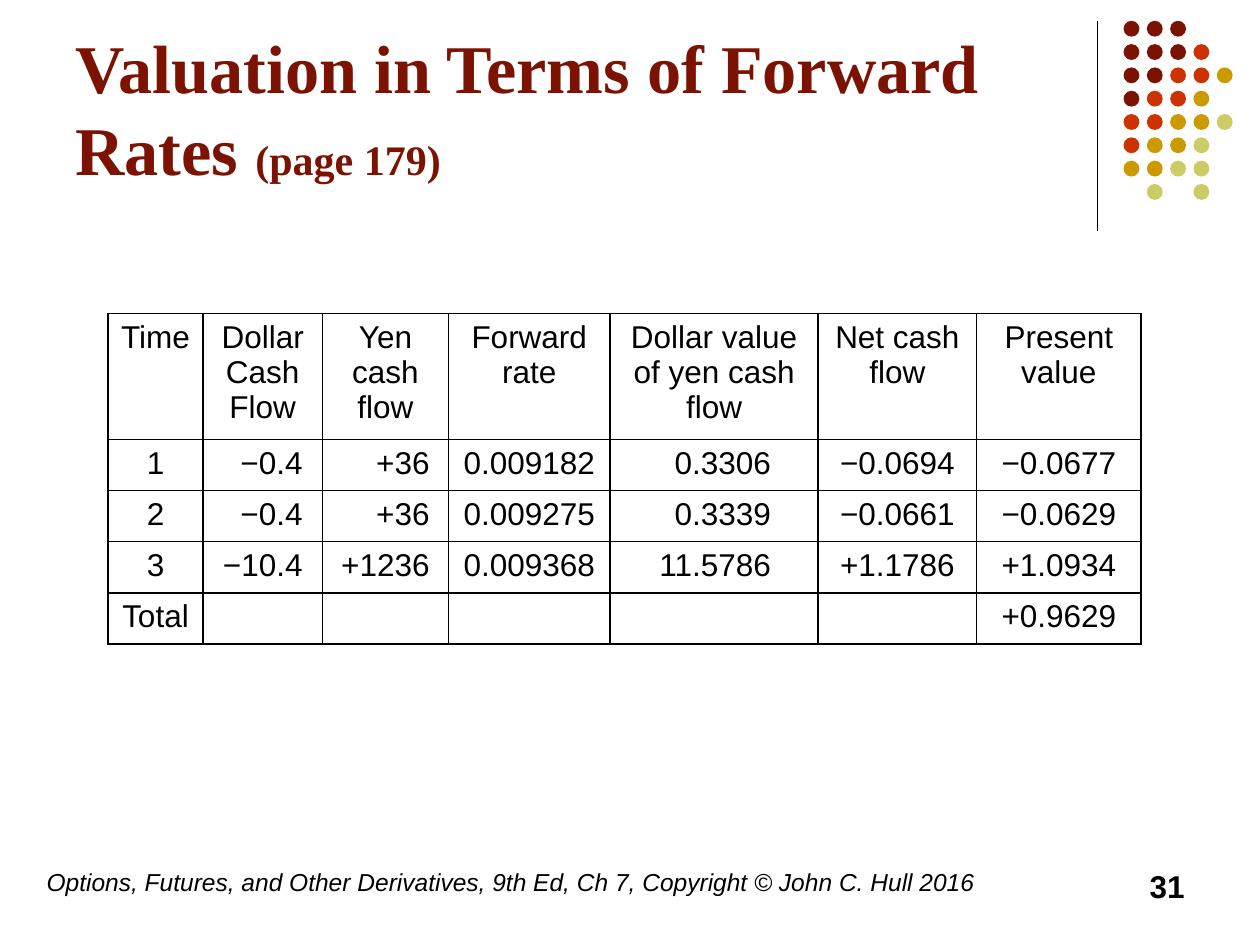
from dataclasses import dataclass

import pptx
import pptx.util
from lxml import etree
from pptx.dml.color import RGBColor
from pptx.enum.shapes import MSO_CONNECTOR, MSO_SHAPE
from pptx.enum.text import MSO_ANCHOR, PP_ALIGN
from pptx.oxml.ns import qn

Cm = pptx.util.Cm
Pt = pptx.util.Pt

COLORS = {"black": "000000", "maroon": "7C1302", "red": "CC3300",
          "gold": "CC9900", "lime": "CCCC66"}
DOTS = {"M": "maroon", "R": "red", "G": "gold", "L": "lime"}
PATTERN = ["MMM", "MMMR", "MMRRG", "MRRG", "RRGGL", "RGGL", "GGLL", ".L.L"]
PITCH, DOT = 0.47, 0.32


@dataclass
class Column:
    head: str
    width: float
    values: list[str]
    inset: float | None = None  # right margin in cm; None centres the values


COLUMNS = [
    Column("Time", 1.91, ["1", "2", "3", "Total"]),
    Column("Dollar Cash Flow", 2.41, ["−0.4", "−0.4", "−10.4", ""], 0.4),
    Column("Yen cash flow", 2.54, ["+36", "+36", "+1236", ""], 0.38),
    Column("Forward rate", 3.26, ["0.009182", "0.009275", "0.009368", ""]),
    Column("Dollar value of yen cash flow", 4.19,
           ["0.3306", "0.3339", "11.5786", ""], 0.95),
    Column("Net cash flow", 3.2, ["−0.0694", "−0.0661", "+1.1786", ""]),
    Column("Present value", 3.31,
           ["−0.0677", "−0.0629", "+1.0934", "+0.9629"]),
]
HEAD, ROW = 2.54, 1.03


def color(name: str) -> RGBColor:
    return RGBColor.from_string(COLORS[name])


def write(frame, text: str, *, size: float = 18, font: str = "Arial",
          ink: str = "black", bold: bool = False, slant: bool = False,
          align=PP_ALIGN.LEFT) -> None:
    """Add a run to the first paragraph of a text frame."""
    para = frame.paragraphs[0]
    para.alignment = align
    run = para.add_run()
    run.text = text
    run.font.size = Pt(size)
    run.font.name = font
    run.font.bold = bold
    run.font.italic = slant
    run.font.color.rgb = color(ink)


def add_box(slide, left: float, top: float, width: float, height: float,
            anchor=MSO_ANCHOR.TOP):
    box = slide.shapes.add_textbox(Cm(left), Cm(top), Cm(width), Cm(height))
    frame = box.text_frame
    frame.word_wrap = True
    frame.vertical_anchor = anchor
    return frame


def add_rule(slide) -> None:
    rule = slide.shapes.add_connector(
        MSO_CONNECTOR.STRAIGHT, Cm(22.12), Cm(0.43), Cm(22.12), Cm(4.65))
    rule.line.color.rgb = color("black")
    rule.line.width = Pt(0.75)
    etree.SubElement(rule._element.spPr, qn("a:effectLst"))


def add_dots(slide) -> None:
    for row, marks in enumerate(PATTERN):
        for col, mark in enumerate(marks):
            if mark not in DOTS:
                continue
            dot = slide.shapes.add_shape(
                MSO_SHAPE.OVAL, Cm(22.65 + col * PITCH),
                Cm(0.42 + row * PITCH), Cm(DOT), Cm(DOT))
            dot.shadow.inherit = False
            dot.fill.solid()
            dot.fill.fore_color.rgb = color(DOTS[mark])
            dot.line.fill.background()


def frame_cell(cell) -> None:
    """Give a cell black borders and no fill."""
    props = cell._tc.get_or_add_tcPr()
    for side in ("lnL", "lnR", "lnT", "lnB"):
        line = etree.SubElement(props, qn(f"a:{side}"), w=str(Pt(1)))
        fill = etree.SubElement(line, qn("a:solidFill"))
        etree.SubElement(fill, qn("a:srgbClr"), val=COLORS["black"])
    cell.fill.background()


def add_grid(slide) -> None:
    count = len(COLUMNS[0].values)
    table = slide.shapes.add_table(
        count + 1, len(COLUMNS), Cm(2.18), Cm(6.32),
        Cm(sum(col.width for col in COLUMNS)), Cm(HEAD + count * ROW)).table
    table.first_row = table.horz_banding = False
    for row in range(count + 1):
        table.rows[row].height = Cm(ROW if row else HEAD)
    for pos, col in enumerate(COLUMNS):
        table.columns[pos].width = Cm(col.width)
        for row, text in enumerate([col.head, *col.values]):
            cell = table.cell(row, pos)
            frame_cell(cell)
            align = PP_ALIGN.CENTER
            if row and col.inset is not None:
                align = PP_ALIGN.RIGHT
                cell.margin_right = Cm(col.inset)
            write(cell.text_frame, text, align=align)


def main() -> None:
    deck = pptx.Presentation()
    deck.slide_width, deck.slide_height = Cm(25.4), Cm(19.05)
    slide = deck.slides.add_slide(deck.slide_layouts[6])
    add_rule(slide)
    add_dots(slide)

    title = add_box(slide, 1.27, 0.33, 20.96, 3.61, MSO_ANCHOR.BOTTOM)
    style = {"font": "Times New Roman", "ink": "maroon", "bold": True}
    write(title, "Valuation in Terms of Forward Rates ", size=39, **style)
    write(title, "(page 179)", size=24, **style)

    add_grid(slide)
    write(add_box(slide, 0.69, 17.35, 21, 1.27),
          "Options, Futures, and Other Derivatives, 9th Ed, Ch 7, "
          "Copyright © John C. Hull 2016", size=14, slant=True)
    write(add_box(slide, 18.21, 17.35, 5.92, 1.27), "31",
          bold=True, align=PP_ALIGN.RIGHT)
    deck.save("out.pptx")


if __name__ == "__main__":
    main()
